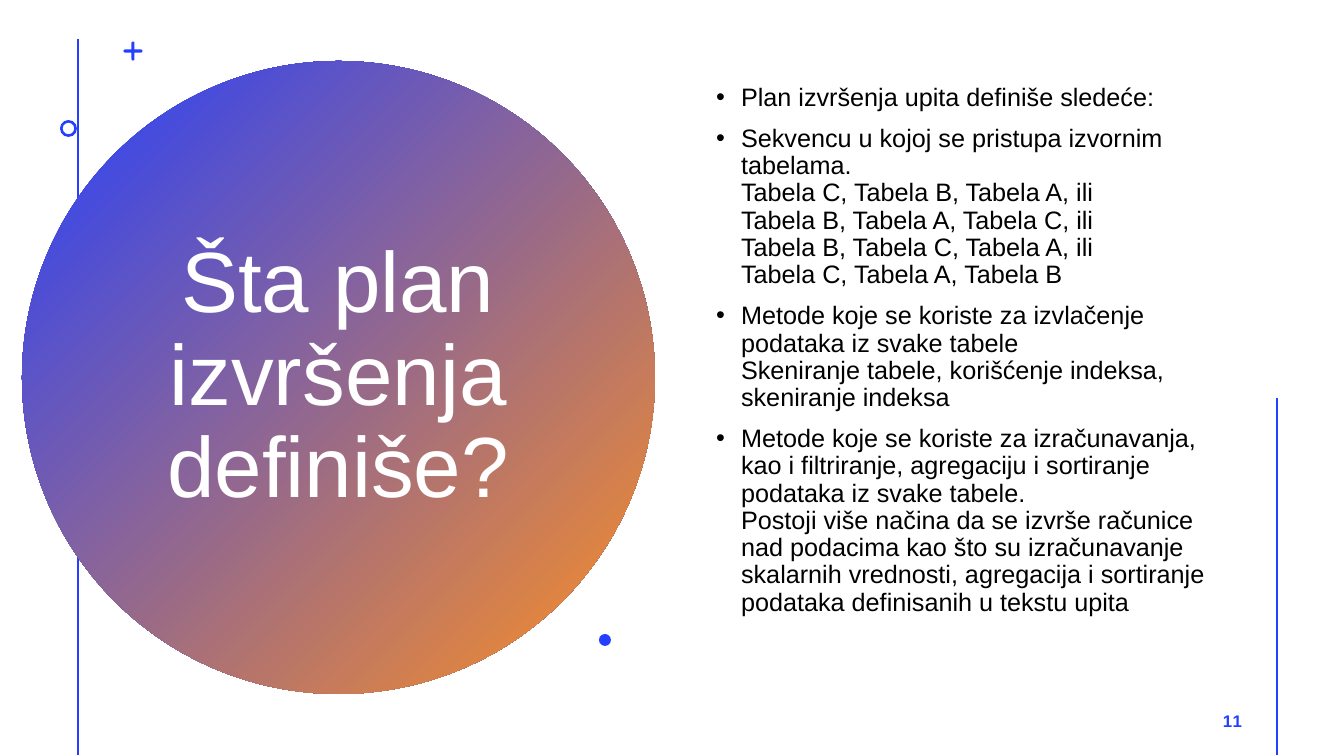
from copy import deepcopy
from math import cos, sin, pi

from lxml.etree import SubElement
from pptx import Presentation
from pptx.dml.color import RGBColor
from pptx.enum.shapes import MSO_CONNECTOR as CONN, MSO_SHAPE as SHAPE
from pptx.enum.text import MSO_ANCHOR as ANCHOR, MSO_AUTO_SIZE as AUTO, PP_ALIGN as ALIGN
from pptx.oxml.ns import qn
from pptx.util import Emu, Pt

PX = 914400 / 100.8
BLUE, ORANGE, WHITE, BLACK = "243FFF", "FF9022", "FFFFFF", "000000"

TITLE = "Šta plan izvršenja definiše?"
POINTS = [
    "Plan izvršenja upita definiše sledeće:",
    "Sekvencu u kojoj se pristupa izvornim tabelama.\n"
    "Tabela C, Tabela B, Tabela A, ili\n"
    "Tabela B, Tabela A, Tabela C, ili\n"
    "Tabela B, Tabela C, Tabela A, ili\n"
    "Tabela C, Tabela A, Tabela B",
    "Metode koje se koriste za izvlačenje podataka iz svake tabele\n"
    "Skeniranje tabele, korišćenje indeksa, skeniranje indeksa",
    "Metode koje se koriste za izračunavanja, kao i filtriranje, agregaciju i sortiranje "
    "podataka iz svake tabele.\n"
    "Postoji više načina da se izvrše računice nad podacima kao što su izračunavanje "
    "skalarnih vrednosti, agregacija i sortiranje podataka definisanih u tekstu upita",
]


def px(n):
    return Emu(round(n * PX))


def rgb(color):
    return RGBColor.from_string(color)


def set_all(obj, values):
    for name, value in values.items():
        setattr(obj, name, value)


class SlideBuilder:
    def __init__(self, prs, font):
        self.font = font
        self.s = prs.slides.add_slide(prs.slide_layouts[1])

    def place(self, sp, box):
        set_all(sp, dict(zip(("left", "top", "width", "height"), map(px, box))))

    def fill_text(self, sp, paragraphs, size, color, para, bold=False):
        tf = sp.text_frame
        set_all(tf, {"word_wrap": True, "auto_size": AUTO.NONE,
                     "vertical_anchor": ANCHOR.MIDDLE})
        for i, text in enumerate(paragraphs):
            p = tf.add_paragraph() if i else tf.paragraphs[0]
            p.text = text
            set_all(p, para)
            for r in p.runs:
                set_all(r.font, {"name": self.font, "size": Pt(size), "bold": bold})
                r.font.color.rgb = rgb(color)
            for br in p._p.findall(qn("a:br")):
                br.append(deepcopy(p.runs[0]._r.rPr))
        return tf

    def title(self, box, text, size, color):
        sp = self.s.shapes.title
        self.s.shapes._spTree.append(sp._element)  # bring in front of the disc
        self.place(sp, box)
        self.fill_text(sp, [text], size, color,
                       {"alignment": ALIGN.CENTER, "line_spacing": 0.9})

    def bullets(self, box, items, size, color, indent, bottom):
        sp = self.s.placeholders[1]
        self.s.shapes._spTree.append(sp._element)
        self.place(sp, box)
        tf = self.fill_text(sp, items, size, color,
                            {"line_spacing": 0.9, "space_before": Pt(10)})
        tf.margin_bottom = px(bottom)
        for p in tf.paragraphs:
            pPr = p._p.get_or_add_pPr()
            pPr.set("marL", str(px(indent)))
            pPr.set("indent", str(-px(indent)))

    def number(self, box, text, size, color):
        sp = self.s.shapes.add_textbox(*map(px, box))
        tf = self.fill_text(sp, [text], size, color,
                            {"alignment": ALIGN.RIGHT, "space_after": Pt(6)}, bold=True)
        tf.paragraphs[0].runs[0]._r.rPr.set("spc", "100")

    def line(self, x, top, bottom, color, width=2):
        c = self.s.shapes.add_connector(CONN.STRAIGHT, px(x), px(top), px(x), px(bottom))
        c.line.color.rgb = rgb(color)
        c.line.width = Pt(width)
        SubElement(c._element.spPr, qn("a:effectLst"))

    def paint(self, sp, color):
        sp.shadow.inherit = False
        sp.line.fill.background()
        sp.fill.solid()
        sp.fill.fore_color.rgb = rgb(color)

    def shape(self, kind, box, color, adjust=None):
        sp = self.s.shapes.add_shape(kind, *map(px, box))
        self.paint(sp, color)
        if adjust is not None:
            sp.adjustments[0] = adjust
        return sp

    def gradient_disc(self, box, start, end):
        sp = self.shape(SHAPE.OVAL, box, start)
        sp.fill.gradient()
        sp.fill.gradient_angle = 315
        for stop, color in zip(sp.fill.gradient_stops, (start, end)):
            stop.color.rgb = rgb(color)

    def rounded_plus(self, cx, cy, reach, half, color, steps=8):
        """Plus sign with four round-ended arms, centred on cx, cy."""
        arm = [(half, -half)]
        for i in range(steps + 1):
            a = pi * (i / steps - 0.5)
            arm.append((reach - half + half * cos(a), half * sin(a)))
        points = []
        for _ in range(4):
            points += [(px(cx + x), px(cy + y)) for x, y in arm]
            arm = [(-y, x) for x, y in arm]
        builder = self.s.shapes.build_freeform(*points[0])
        builder.add_line_segments(points[1:], close=True)
        self.paint(builder.convert_to_shape(), color)


def main():
    prs = Presentation()
    prs.slide_width, prs.slide_height = px(1344), px(756)
    b = SlideBuilder(prs, "Arial")
    b.line(78, 39, 755, BLUE)
    b.gradient_disc((22, 61, 633, 633), BLUE, ORANGE)
    b.title((137, 142, 402, 471), TITLE, 61, WHITE)
    b.rounded_plus(133, 51, 9.5, 1.5, BLUE)
    b.shape(SHAPE.DONUT, (60, 120, 17, 17), BLUE, adjust=0.16)
    b.bullets((706, 42, 516, 658), POINTS, 18, BLACK, indent=25, bottom=46)
    b.shape(SHAPE.OVAL, (599, 634, 12, 12), BLUE)
    b.number((950, 701, 302, 40), "11", 12, BLUE)
    b.line(1277, 398, 755, BLUE)
    prs.save("out.pptx")


if __name__ == "__main__":
    main()
